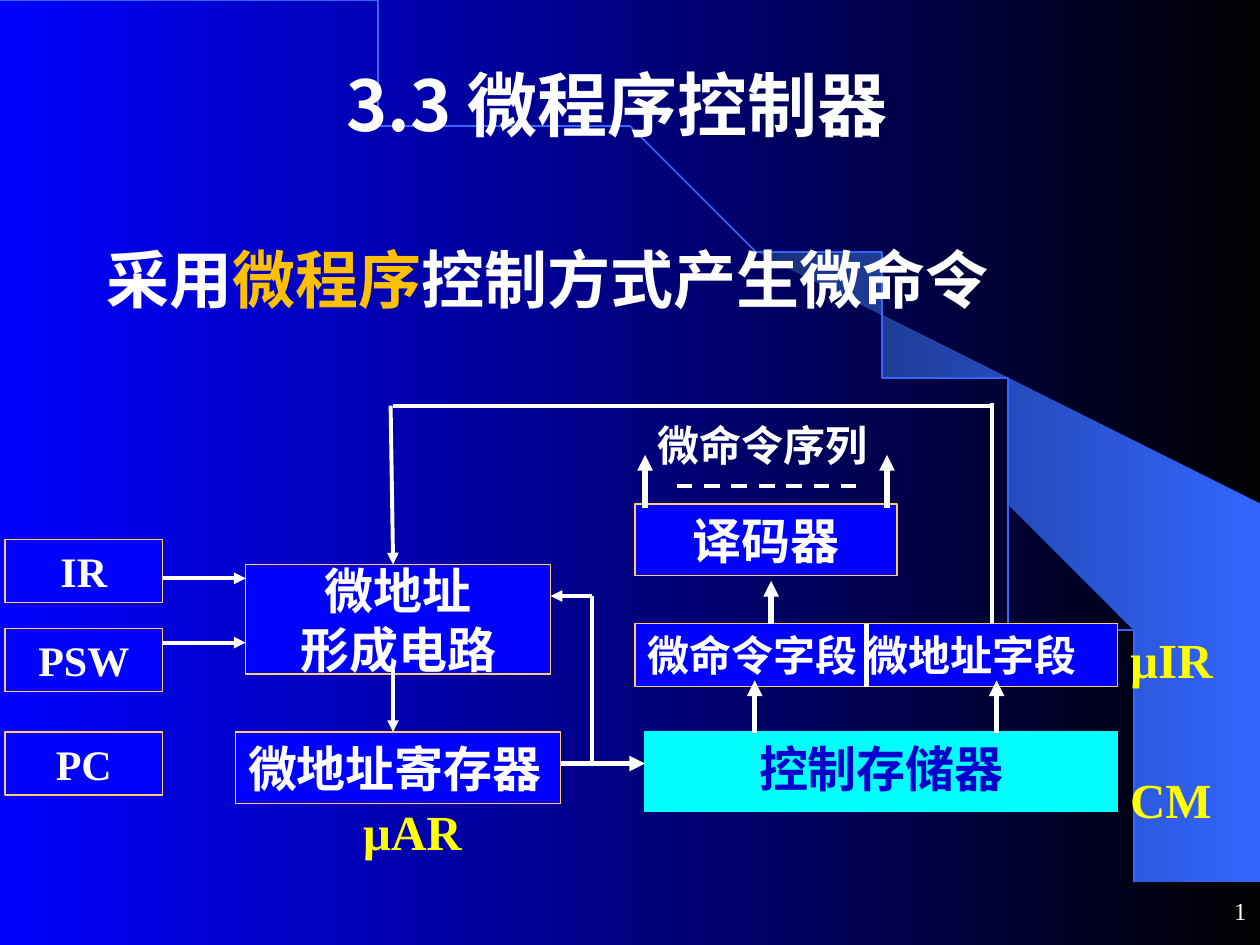
from lxml import etree
from pptx import Presentation
from pptx.dml.color import RGBColor
from pptx.enum import dml, shapes, text
from pptx.oxml.ns import qn
from pptx.util import Inches, Pt

WHITE = RGBColor(0xFF, 0xFF, 0xFF)
BLACK = RGBColor(0x00, 0x00, 0x00)
BLUE = RGBColor(0x00, 0x00, 0xFF)
SKY = RGBColor(0x33, 0x66, 0xFF)
NAVY = RGBColor(0x18, 0x2F, 0x76)
INK = RGBColor(0x00, 0x00, 0xCC)
CYAN = RGBColor(0x00, 0xFF, 0xFF)
YELLOW = RGBColor(0xFF, 0xFF, 0x00)
ORANGE = RGBColor(0xFF, 0xC0, 0x00)
TAN = RGBColor(0xFF, 0xCC, 0x66)
TIMES, NOTO = "Times New Roman", "Noto Sans CJK SC"
LEFT, CENTER, RIGHT = text.PP_ALIGN.LEFT, text.PP_ALIGN.CENTER, text.PP_ALIGN.RIGHT
TOP, MIDDLE = text.MSO_ANCHOR.TOP, text.MSO_ANCHOR.MIDDLE

presentation = Presentation()
presentation.slide_width, presentation.slide_height = Inches(10), Inches(7.5)
slide = presentation.slides.add_slide(presentation.slide_layouts[6])


def set_gradient(fill, start, end):
    fill.gradient()
    fill.gradient_angle = 0
    for stop, position, color in zip(fill.gradient_stops, (0, 1), (start, end)):
        stop.position = position
        stop.color.rgb = color


def write(shape, lines, size, font=TIMES, color=WHITE, align=LEFT, anchor=TOP,
          bold=True, wrap=True, inset=0.1):
    """Fill a shape with lines, each a list of (words, colour or None)."""
    frame = shape.text_frame
    settings = {"word_wrap": wrap, "vertical_anchor": anchor,
                "margin_left": Inches(inset), "margin_right": Inches(0.1),
                "margin_top": Inches(0.05), "margin_bottom": Inches(0.05)}
    for name, value in settings.items():
        setattr(frame, name, value)
    for index, line in enumerate(lines):
        paragraph = frame.add_paragraph() if index else frame.paragraphs[0]
        paragraph.alignment = align
        for words, accent in line:
            run = paragraph.add_run()
            run.text = words
            for name, value in {"name": font, "size": Pt(size), "bold": bold}.items():
                setattr(run.font, name, value)
            run.font.color.rgb = accent or color
            east_asian = etree.SubElement(run.font._element, qn("a:ea"))
            east_asian.set("typeface", NOTO)


# Background with the swoosh and its arc
set_gradient(slide.background.fill, BLUE, BLACK)
swoosh = [(9.2, 7.48), (9.99, 7.49), (9.99, 4.23), (5.89, 1.73), (6.24, 1.99),
          (6.53, 2.22), (6.85, 2.5), (7.16, 2.8), (7.62, 3.3), (8.03, 3.84),
          (8.32, 4.31), (8.58, 4.79), (8.78, 5.28), (8.93, 5.72), (9.03, 6.09),
          (9.13, 6.56), (9.17, 6.96)]
steps = [i / 60 for i in range(61)]
arc = [(3 * t * (1 - t) ** 2 * 5.08 + 3 * t ** 2 * (1 - t) * 9.2 + t ** 3 * 9.2,
        3 * t ** 2 * (1 - t) * 3.35 + t ** 3 * 7.49) for t in steps]
for points, closed in ((swoosh, True), (arc, False)):
    builder = slide.shapes.build_freeform(*points[0], scale=Inches(1))
    builder.add_line_segments(points[1:], close=closed)
    outline = builder.convert_to_shape()
    outline.shadow.inherit = False
    if closed:
        set_gradient(outline.fill, NAVY, SKY)
        outline.line.fill.background()
    else:
        outline.fill.background()
        outline.line.color.rgb = SKY
        outline.line.width = Pt(1)

# Boxes: place, fill, line, lines of text, size, other formats
boxes = [
    ((1.95, 4.48, 2.42, 0.87), BLUE, TAN, ["微地址", "形成电路"], 28,
     {"font": NOTO, "align": CENTER, "anchor": MIDDLE, "wrap": False}),
    ((1.87, 5.81, 2.58, 0.57), BLUE, TAN, ["微地址寄存器"], 28, {}),
    ((5.12, 5.81, 3.75, 0.63), CYAN, CYAN, ["控制存储器"], 28,
     {"color": INK, "align": CENTER}),
    ((5.04, 4, 2.08, 0.57), BLUE, TAN, ["译码器"], 28, {"align": CENTER}),
    ((5.04, 4.95, 3.83, 0.5), BLUE, TAN, ["微命令字段 微地址字段"], 24, {"font": NOTO}),
]
for name, top in (("IR", 4.28), ("PSW", 4.99), ("PC", 5.81)):
    boxes.append(((0.04, top, 1.25, 0.5), BLUE, TAN, [name], 24, {"align": CENTER}))
for place, fill, line, lines, size, formats in boxes:
    box = slide.shapes.add_shape(shapes.MSO_SHAPE.RECTANGLE, *map(Inches, place))
    box.shadow.inherit = False
    box.fill.solid()
    box.fill.fore_color.rgb = fill
    box.line.color.rgb = line
    box.line.width = Pt(0.75)
    write(box, [[(words, None)] for words in lines], size, **formats)

# Title, statement, labels and slide number
labels = [
    ((1.06, 0.44, 7.67, 0.77), [("3.3 微程序控制器", None)], 40,
     {"font": NOTO, "align": CENTER}),
    ((0.75, 1.86, 8.19, 0.7),
     [("采用", None), ("微程序", ORANGE), ("控制方式产生微命令", None)], 36, {}),
    ((5.12, 3.28, 2.08, 0.5), [("微命令序列", None)], 24, {}),
    ((2.7, 6.31, 1.33, 0.57), [("µAR", None)], 28, {"color": YELLOW, "inset": 0.18}),
    ((8.87, 6.06, 1.08, 0.57), [("CM", None)], 28, {"color": YELLOW}),
    ((8.87, 4.95, 1.08, 0.57), [("µIR", None)], 28, {"color": YELLOW}),
    ((7.91, 6.98, 2.08, 0.5), [("1", None)], 14,
     {"align": RIGHT, "anchor": MIDDLE, "bold": False}),
]
for place, runs, size, formats in labels:
    label = slide.shapes.add_textbox(*map(Inches, place))
    write(label, [runs], size, **formats)

# Lines and arrows: from x, y to x, y, width, arrowhead
lines = [
    (6.88, 4.95, 6.88, 5.45, 3, False),     # field divider
    (5.37, 3.86, 6.79, 3.86, 2.25, False),  # dashes between decoder outputs
    (6.12, 4.95, 6.12, 4.61, 3, True),      # command field to decoder
    (4.45, 6.06, 5.12, 6.06, 3, True),      # address register to memory
    (4.7, 6.06, 4.7, 4.73, 2.25, False),    # address register feedback
    (4.7, 4.73, 4.37, 4.73, 2.25, True),
    (3.12, 5.31, 3.12, 5.81, 2.25, True),   # circuit to address register
    (3.12, 3.22, 7.87, 3.22, 2.25, False),  # address field feedback
    (7.87, 3.2, 7.87, 4.95, 2.25, False),
    (3.1, 3.22, 3.12, 4.48, 2.25, True),
]
lines += [(x, 4.03, x, 3.61, 3, True) for x in (5.12, 7.04)]     # decoder outputs
lines += [(1.29, y, 1.95, y, 2.25, True) for y in (4.59, 5.1)]   # register inputs
lines += [(x, 5.82, x, 5.4, 3, True) for x in (5.99, 7.91)]      # memory to fields
for index, (x1, y1, x2, y2, width, arrow) in enumerate(lines):
    connector = slide.shapes.add_connector(
        shapes.MSO_CONNECTOR.STRAIGHT, *map(Inches, (x1, y1, x2, y2)))
    connector.line.color.rgb = WHITE
    connector.line.width = Pt(width)
    if index == 1:
        connector.line.dash_style = dml.MSO_LINE.DASH
    if arrow:
        tail = etree.SubElement(connector.line._get_or_add_ln(), qn("a:tailEnd"))
        tail.set("type", "triangle")
    etree.SubElement(connector._element.spPr, qn("a:effectLst"))

presentation.save("out.pptx")
